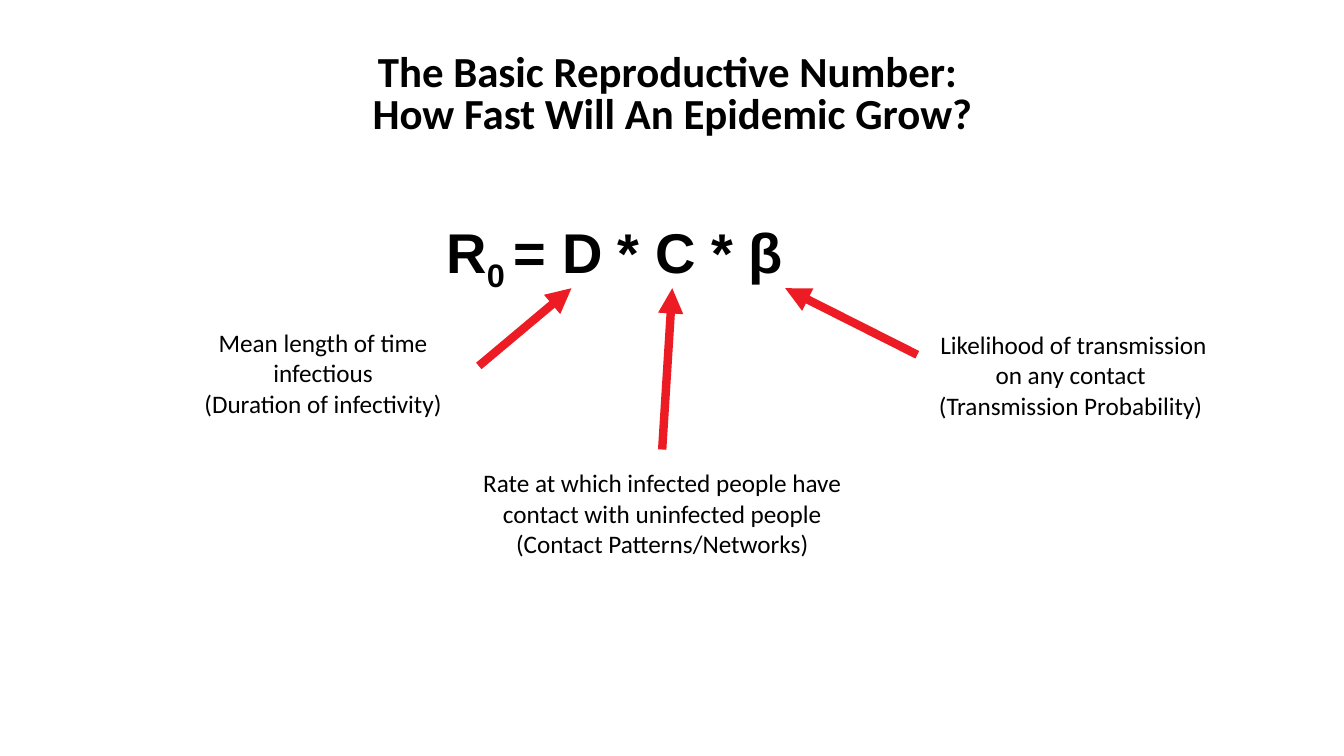
from dataclasses import dataclass

from lxml.etree import SubElement
from pptx import Presentation
from pptx.dml.color import RGBColor
from pptx.enum.shapes import MSO_CONNECTOR
from pptx.enum.text import MSO_ANCHOR, MSO_AUTO_SIZE, PP_ALIGN
from pptx.oxml.ns import qn
from pptx.slide import Slide
from pptx.text.text import Font, TextFrame
from pptx.util import Pt

BLACK, WHITE, RED = "000000", "FFFFFF", "ED1C24"
TIP = 205.9  # height at which all arrows meet the formula


@dataclass
class Label:
    text: str
    left: float
    top: float
    width: float


@dataclass
class Arrow:
    left: float
    top: float
    tip: float


LABELS = [
    Label("Mean length of time infectious\n(Duration of infectivity)",
          133.2, 230.4, 195.1),
    Label("Rate at which infected people have contact with uninfected people\n"
          "(Contact Patterns/Networks)", 326.9, 330.5, 292.3),
    Label("Likelihood of transmission on any contact \n"
          "(Transmission Probability) ", 655.2, 231.8, 223.2),
]
ARROWS = [
    Arrow(342, 261.4, 408.2),
    Arrow(473, 321.1, 480.2),
    Arrow(655.2, 253.4, 560.9),
]
FORMULA = [("R", 0), ("0 ", -25000), ("= D * C * β", 0)]


def color(code: str) -> RGBColor:
    return RGBColor.from_string(code)


def style(font: Font, name: str, size: float, bold: bool) -> None:
    font.name, font.size, font.bold = name, Pt(size), bold
    font.color.rgb = color(BLACK)


def center(frame: TextFrame, size: float, bold: bool, space: float) -> None:
    for para in frame.paragraphs:
        para.alignment = PP_ALIGN.CENTER
        para.line_spacing = space
        for run in para.runs:
            style(run.font, "Calibri", size, bold)


def add_title(slide: Slide) -> None:
    title = slide.shapes.title
    title.left, title.top = Pt(250.6), Pt(23)
    title.width, title.height = Pt(459.4), Pt(91.4)
    title.fill.solid()
    title.fill.fore_color.rgb = color(WHITE)
    frame = title.text_frame
    frame.text = ("The Basic Reproductive Number: \n"
                  "How Fast Will An Epidemic Grow?")
    frame.auto_size = MSO_AUTO_SIZE.NONE
    frame.vertical_anchor = MSO_ANCHOR.MIDDLE
    center(frame, 30.6, True, 0.8)


def add_formula(slide: Slide) -> None:
    box = slide.shapes.add_textbox(Pt(311.8), Pt(151.9), Pt(257.8), Pt(55.4))
    frame = box.text_frame
    frame.word_wrap = False
    frame.auto_size = MSO_AUTO_SIZE.SHAPE_TO_FIT_TEXT
    for text, shift in FORMULA:
        run = frame.paragraphs[0].add_run()
        run.text = text
        style(run.font, "Arial", 40, True)
        if shift:
            run.font._element.set("baseline", str(shift))


def add_arrow(slide: Slide, arrow: Arrow) -> None:
    link = slide.shapes.add_connector(
        MSO_CONNECTOR.STRAIGHT,
        Pt(arrow.left), Pt(arrow.top), Pt(arrow.tip), Pt(TIP))
    link.line.color.rgb = color(RED)
    link.line.width = Pt(6)
    props = link._element.spPr
    SubElement(props.find(qn("a:ln")), qn("a:tailEnd"), type="triangle")
    SubElement(props, qn("a:effectLst"))


def add_label(slide: Slide, label: Label) -> None:
    box = slide.shapes.add_textbox(
        Pt(label.left), Pt(label.top), Pt(label.width), Pt(72.7))
    frame = box.text_frame
    frame.word_wrap = True
    frame.auto_size = MSO_AUTO_SIZE.SHAPE_TO_FIT_TEXT
    frame.text = label.text
    center(frame, 18, False, 1.0)


def main() -> None:
    deck = Presentation()
    deck.slide_width, deck.slide_height = Pt(960), Pt(540)
    slide = deck.slides.add_slide(deck.slide_layouts.get_by_name("Title Only"))

    # Heading and formula
    add_title(slide)
    add_formula(slide)

    # Arrows to each factor
    for arrow in ARROWS:
        add_arrow(slide, arrow)

    # Explanations
    for label in LABELS:
        add_label(slide, label)

    deck.save("out.pptx")


if __name__ == "__main__":
    main()
